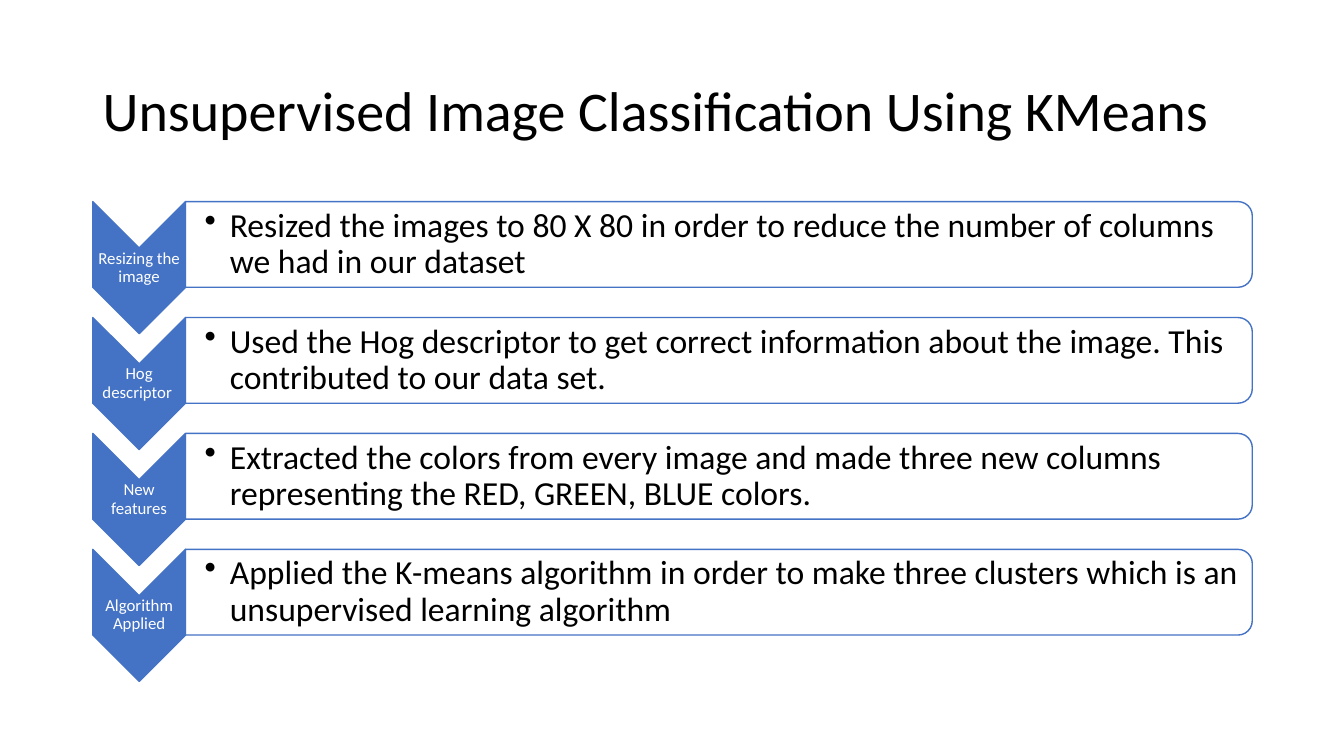
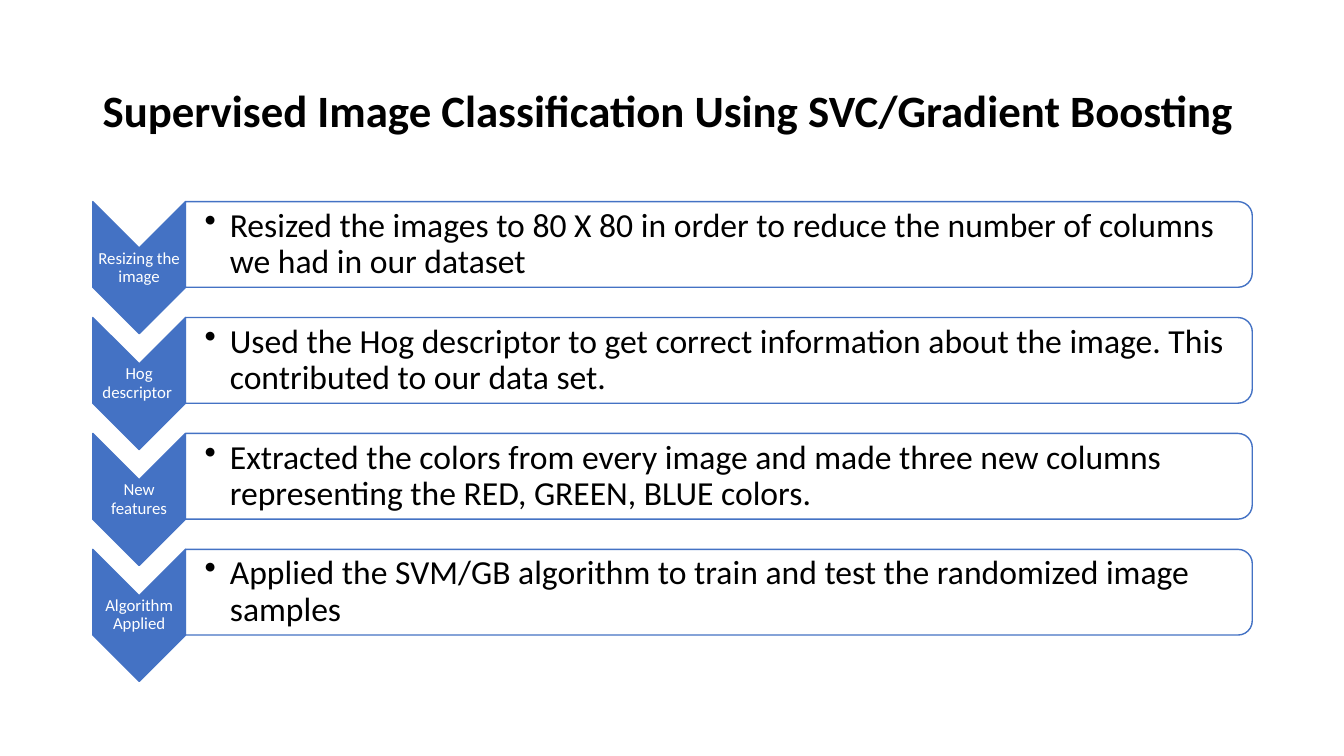
from dataclasses import dataclass

from lxml.etree import SubElement
from pptx import Presentation
from pptx.dml.color import RGBColor
from pptx.enum.shapes import MSO_SHAPE
from pptx.enum.text import MSO_ANCHOR, PP_ALIGN
from pptx.oxml.ns import qn
from pptx.shapes.autoshape import Shape
from pptx.slide import Slide
from pptx.util import Emu, Pt

BLACK = RGBColor(0x00, 0x00, 0x00)
WHITE = RGBColor(0xFF, 0xFF, 0xFF)
BLUE = RGBColor(0x44, 0x72, 0xC4)
FONT = "Calibri"

EMU_PER_PX = 9144
SLIDE_WIDTH, SLIDE_HEIGHT = 1333, 750
FIRST_STEP_TOP, STEP_PITCH = 200, 115
CHEVRON_LEFT, CHEVRON_WIDTH, CHEVRON_HEIGHT = 92, 92, 131
LABEL_OFFSET, LABEL_HEIGHT = 46, 39
PANEL_LEFT = CHEVRON_LEFT + CHEVRON_WIDTH
PANEL_WIDTH, PANEL_HEIGHT = 1058, 85
DETAIL_OFFSET, DETAIL_WIDTH, DETAIL_HEIGHT = 4, 1054, 77
BULLET_INDENT = 25


@dataclass(frozen=True)
class Box:
    left: int
    top: int
    width: int
    height: int


@dataclass(frozen=True)
class Insets:
    left: int
    top: int
    right: int
    bottom: int


@dataclass(frozen=True)
class TextStyle:
    size: int
    color: RGBColor
    insets: Insets
    bold: bool = False
    alignment: PP_ALIGN = PP_ALIGN.LEFT
    bulleted: bool = False


@dataclass(frozen=True)
class Step:
    label: str
    detail: str


@dataclass(frozen=True)
class ProcessSlide:
    title: str
    title_style: TextStyle
    steps: tuple[Step, ...]


TITLE_BOX = Box(92, 40, 1150, 145)
TITLE_INSETS = Insets(10, 5, 10, 5)
REGULAR_TITLE = TextStyle(40, BLACK, TITLE_INSETS)
BOLD_TITLE = TextStyle(32, BLACK, TITLE_INSETS, bold=True)
LABEL_STYLE = TextStyle(12, WHITE, Insets(1, 1, 1, 1), alignment=PP_ALIGN.CENTER)
DETAIL_STYLE = TextStyle(24, BLACK, Insets(19, 2, 2, 2), bulleted=True)

SHARED_STEPS = (
    Step(
        "Resizing the image",
        "Resized the images to 80 X 80 in order to reduce the number of columns we had in our dataset",
    ),
    Step(
        "Hog descriptor ",
        "Used the Hog descriptor to get correct information about the image. "
        "This contributed to our data set.",
    ),
    Step(
        "New features",
        "Extracted the colors from every image and made three new columns "
        "representing the RED, GREEN, BLUE colors.",
    ),
)


def algorithm_step(detail: str) -> Step:
    return Step("Algorithm Applied", detail)


PROCESS_SLIDES = (
    ProcessSlide(
        "Unsupervised Image Classification Using KMeans",
        REGULAR_TITLE,
        SHARED_STEPS
        + (
            algorithm_step(
                "Applied the K-means algorithm in order to make three clusters "
                "which is an unsupervised learning algorithm"
            ),
        ),
    ),
    ProcessSlide(
        "Supervised Image Classification Using SVC/Gradient Boosting",
        BOLD_TITLE,
        SHARED_STEPS
        + (
            algorithm_step(
                "Applied the SVM/GB algorithm to train and test the randomized image samples"
            ),
        ),
    ),
)


def px(length: float) -> Emu:
    return Emu(round(length * EMU_PER_PX))


def add_text(slide: Slide, box: Box, text: str, style: TextStyle) -> None:
    shape = slide.shapes.add_textbox(px(box.left), px(box.top), px(box.width), px(box.height))
    frame = shape.text_frame
    frame.word_wrap = True
    frame.vertical_anchor = MSO_ANCHOR.MIDDLE
    frame.margin_left = px(style.insets.left)
    frame.margin_top = px(style.insets.top)
    frame.margin_right = px(style.insets.right)
    frame.margin_bottom = px(style.insets.bottom)
    paragraph = frame.paragraphs[0]
    paragraph.alignment = style.alignment
    paragraph.line_spacing = 0.9
    if style.bulleted:
        properties = paragraph._p.get_or_add_pPr()
        properties.set("marL", str(px(BULLET_INDENT)))
        properties.set("indent", str(-px(BULLET_INDENT)))
        SubElement(properties, qn("a:buChar")).set("char", "•")
    run = paragraph.add_run()
    run.text = text
    run.font.name = FONT
    run.font.size = Pt(style.size)
    run.font.bold = style.bold
    run.font.color.rgb = style.color


def add_turned_shape(slide: Slide, kind: MSO_SHAPE, visible: Box, fill: RGBColor) -> Shape:
    shift = (visible.width - visible.height) / 2
    shape = slide.shapes.add_shape(
        kind,
        px(visible.left + shift),
        px(visible.top - shift),
        px(visible.height),
        px(visible.width),
    )
    shape.rotation = 90
    shape.shadow.inherit = False
    shape.fill.solid()
    shape.fill.fore_color.rgb = fill
    shape.line.color.rgb = BLUE
    shape.line.width = Pt(1)
    return shape


def add_step(slide: Slide, step: Step, top: int) -> None:
    chevron = Box(CHEVRON_LEFT, top, CHEVRON_WIDTH, CHEVRON_HEIGHT)
    add_turned_shape(slide, MSO_SHAPE.CHEVRON, chevron, BLUE)
    label = Box(CHEVRON_LEFT, top + LABEL_OFFSET, CHEVRON_WIDTH, LABEL_HEIGHT)
    add_text(slide, label, step.label, LABEL_STYLE)
    panel = Box(PANEL_LEFT, top, PANEL_WIDTH, PANEL_HEIGHT)
    shape = add_turned_shape(slide, MSO_SHAPE.ROUND_2_SAME_RECTANGLE, panel, WHITE)
    fill_color = shape._element.spPr.find(qn("a:solidFill")).find(qn("a:srgbClr"))
    SubElement(fill_color, qn("a:alpha")).set("val", "90000")
    detail = Box(PANEL_LEFT, top + DETAIL_OFFSET, DETAIL_WIDTH, DETAIL_HEIGHT)
    add_text(slide, detail, step.detail, DETAIL_STYLE)


def main() -> None:
    presentation = Presentation()
    presentation.slide_width = px(SLIDE_WIDTH)
    presentation.slide_height = px(SLIDE_HEIGHT)
    blank_layout = presentation.slide_layouts[6]
    for content in PROCESS_SLIDES:
        slide = presentation.slides.add_slide(blank_layout)
        add_text(slide, TITLE_BOX, content.title, content.title_style)
        for index, step in enumerate(content.steps):
            add_step(slide, step, FIRST_STEP_TOP + index * STEP_PITCH)
    presentation.save("out.pptx")


if __name__ == "__main__":
    main()
